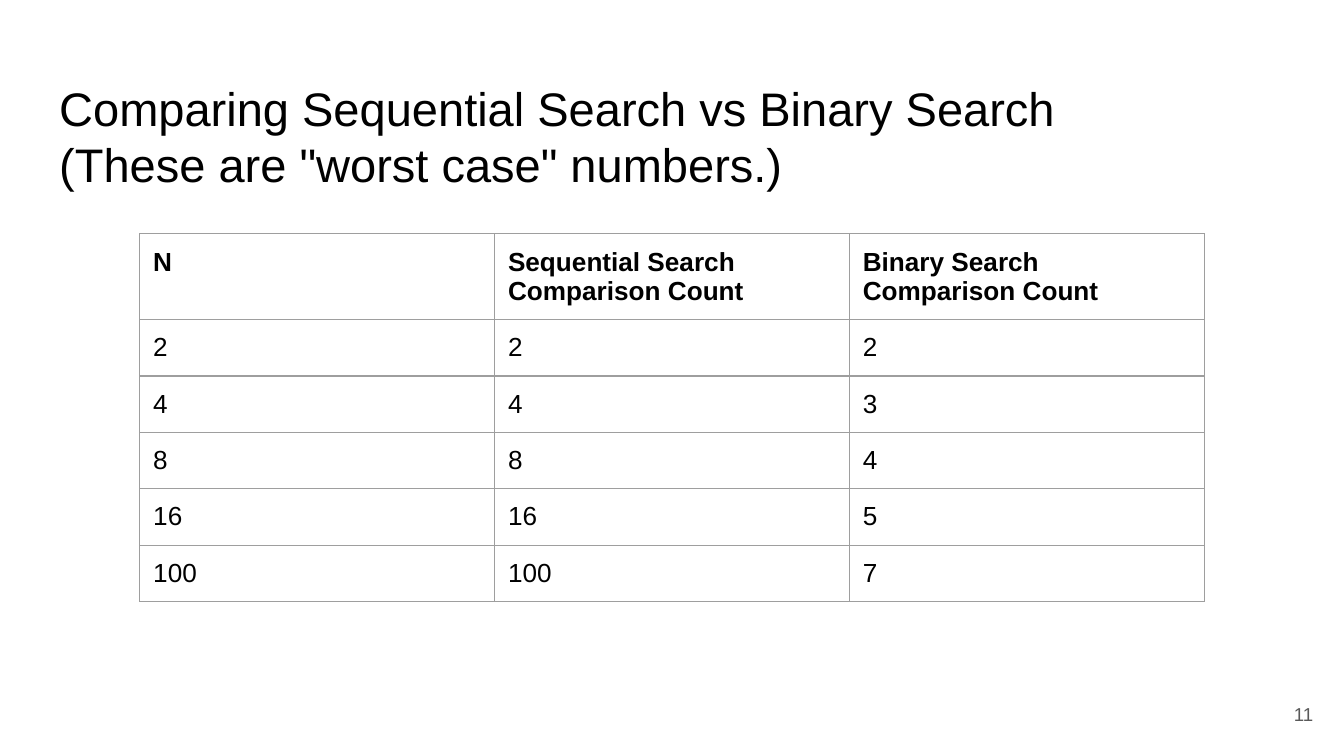
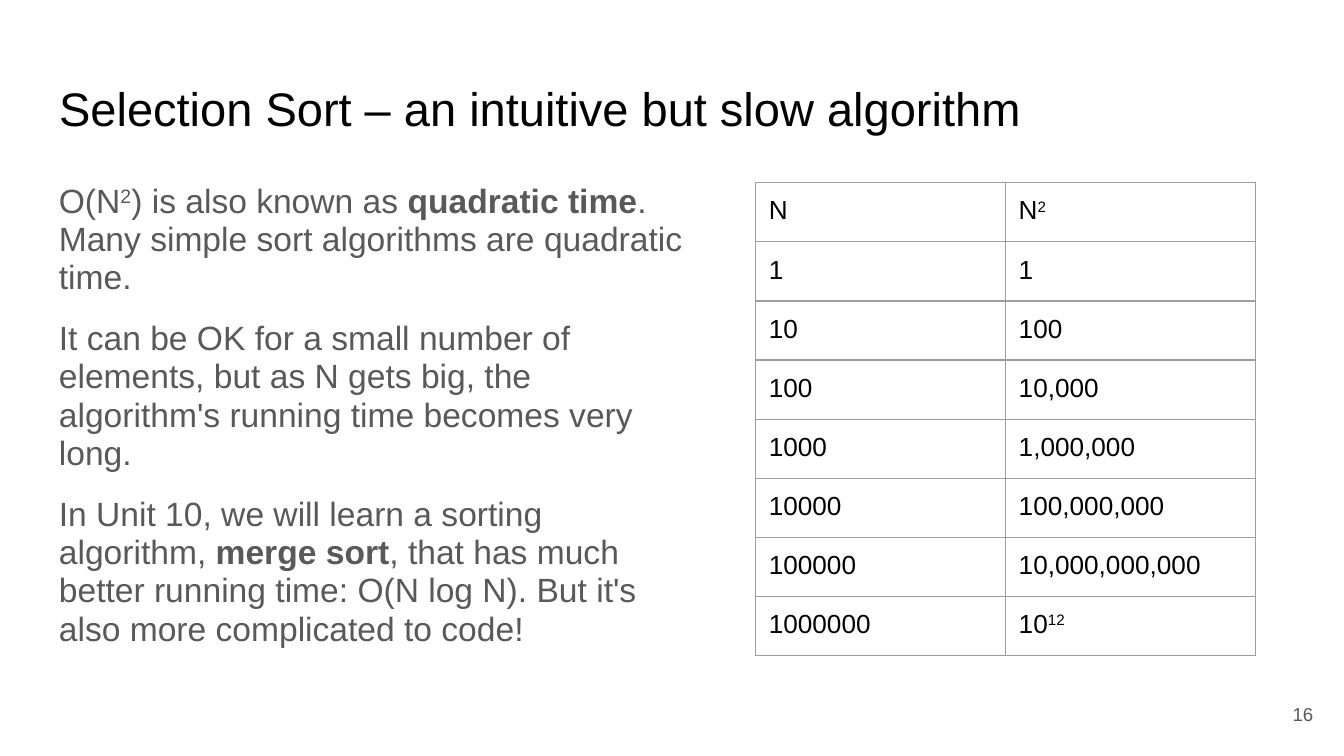
from pptx import Presentation
from pptx.dml.color import RGBColor
from pptx.enum.text import MSO_ANCHOR, MSO_AUTO_SIZE, PP_ALIGN
from pptx.oxml import parse_xml
from pptx.oxml.ns import nsdecls
from pptx.util import Inches, Pt

FONT = "Arial"
BLACK, GRAY, EDGE = "000000", "595959", "9E9E9E"
PAD = Inches(0.1)

# Boxes: left, top, width, height in inches
TITLE = (0.34, 0.49, 9.32, 0.63)
BODY = (0.34, 1.26, 4.96, 3.74)
NUMBER = (9.27, 5.1, 0.6, 0.43)


def color(code):
    return RGBColor.from_string(code)


def place(shape, box):
    shape.left, shape.top, shape.width, shape.height = map(Inches, box)


def style(font, size, code, bold):
    font.name, font.size, font.bold = FONT, Pt(size), bold
    font.color.rgb = color(code)


def write(frame, *paras, size=14, code=BLACK, bold=False, align=PP_ALIGN.LEFT,
          line=None, gap=0, last=0):
    """Write paragraphs; '*' toggles bold and '^' toggles superscript."""
    for i, text in enumerate(paras):
        para = frame.paragraphs[0] if i == 0 else frame.add_paragraph()
        para.alignment = align
        para.space_before = Pt(gap if i else 0)
        para.space_after = Pt(last if i == len(paras) - 1 else 0)
        if line:
            para.line_spacing = line
        for j, row in enumerate(text.split("\n")):
            if j:
                para.add_line_break()
            for k, part in enumerate(row.split("*")):
                for m, piece in enumerate(part.split("^")):
                    if not piece:
                        continue
                    run = para.add_run()
                    run.text = piece
                    style(run.font, size, code, bold or k % 2 == 1)
                    if m % 2:
                        run.font._element.set("baseline", "30000")


def setup(frame, anchor=MSO_ANCHOR.TOP):
    frame.word_wrap = True
    frame.auto_size = MSO_AUTO_SIZE.NONE
    frame.vertical_anchor = anchor
    frame.margin_left = frame.margin_right = PAD
    frame.margin_top = frame.margin_bottom = PAD


def add_text(slide, box, *paras, anchor=MSO_ANCHOR.TOP, **form):
    frame = slide.shapes.add_textbox(*map(Inches, box)).text_frame
    setup(frame, anchor)
    write(frame, *paras, **form)


def add_slide(deck, title, number):
    slide = deck.slides.add_slide(deck.slide_layouts[5])
    head = slide.shapes.title
    place(head, TITLE)
    setup(head.text_frame)
    write(head.text_frame, title, size=25.2)
    add_text(slide, NUMBER, str(number), anchor=MSO_ANCHOR.MIDDLE,
             size=10, code=GRAY, align=PP_ALIGN.RIGHT)
    return slide


def edge(cell):
    props = cell._tc.get_or_add_tcPr()
    for i, side in enumerate(("lnL", "lnR", "lnT", "lnB")):
        props.insert(i, parse_xml(
            f'<a:{side} {nsdecls("a")} w="{Pt(0.75)}"><a:solidFill>'
            f'<a:srgbClr val="{EDGE}"/></a:solidFill></a:{side}>'))


def add_grid(slide, left, top, wide, high, rows, head=False):
    count = len(rows[0])
    grid = slide.shapes.add_table(
        len(rows), count, Inches(left), Inches(top),
        Inches(wide * count), Inches(high * len(rows))).table
    grid.first_row = grid.horz_banding = False
    for i, row in enumerate(rows):
        for j, text in enumerate(row):
            cell = grid.cell(i, j)
            cell.margin_left = cell.margin_right = PAD
            cell.margin_top = cell.margin_bottom = PAD
            cell.fill.background()
            edge(cell)
            write(cell.text_frame, *text.split("\n"), bold=head and i == 0)


def add_search(deck):
    slide = add_slide(deck, "Comparing Sequential Search vs Binary Search\n"
                      '(These are "worst case" numbers.)', 11)
    rows = [("N", "Sequential Search\nComparison Count",
             "Binary Search\nComparison Count")]
    counts = [(2, 2), (4, 3), (8, 4), (16, 5), (100, 7)]
    rows += [(str(n), str(n), str(steps)) for n, steps in counts]
    add_grid(slide, 1.04, 1.74, 2.64, 0.42, rows, head=True)


def add_sort(deck):
    slide = add_slide(
        deck, "Selection Sort – an intuitive but slow algorithm", 16)
    rows = [("N", "N^2^")]
    rows += [(str(10 ** n), f"{10 ** (2 * n):,}") for n in range(6)]
    rows.append(("1000000", "10^12^"))
    add_grid(slide, 5.62, 1.36, 1.86, 0.44, rows)
    add_text(
        slide, BODY,
        "O(N^2^) is also known as *quadratic time*. "
        "Many simple sort algorithms are quadratic time.",
        "It can be OK for a small number of elements, but as N gets big, "
        "the algorithm's running time becomes very long.",
        "In Unit 10, we will learn a sorting algorithm, *merge sort*, that "
        "has much better running time: O(N log N). But it's also more "
        "complicated to code!",
        size=18, code=GRAY, line=0.95, gap=12, last=12)


def main():
    deck = Presentation()
    # Widescreen, 16 to 9
    deck.slide_width = Inches(10)
    deck.slide_height = deck.slide_width * 9 // 16
    add_search(deck)
    add_sort(deck)
    deck.save("out.pptx")


if __name__ == "__main__":
    main()
